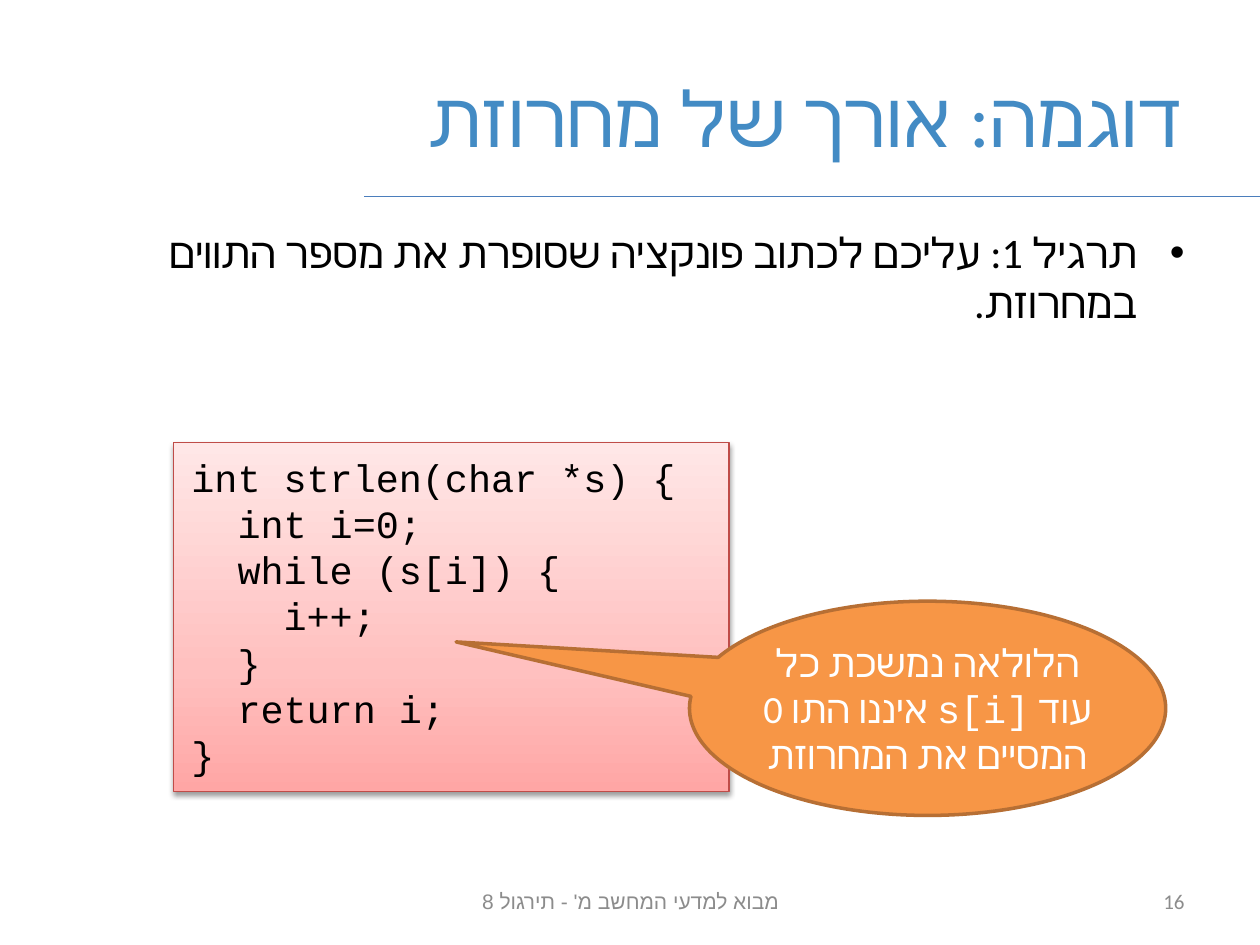
from copy import deepcopy
from dataclasses import dataclass

from pptx import Presentation
from pptx.dml.color import RGBColor
from pptx.enum.shapes import MSO_CONNECTOR, MSO_SHAPE
from pptx.enum.text import MSO_ANCHOR, MSO_AUTO_SIZE, PP_ALIGN
from pptx.oxml.ns import qn
from pptx.oxml.xmlchemy import OxmlElement
from pptx.util import Cm, Pt


@dataclass(frozen=True)
class Theme:
    title: str = "438BC4"
    rule: str = "4B7EBC"
    ink: str = "000000"
    muted: str = "8C8C8C"
    light: str = "FFFFFF"
    code_fill: tuple = ((0, "FFA6A5"), (0.35, "FFC0BF"), (1, "FFE7E7"))
    code_line: str = "BF4C48"
    callout_fill: str = "F79646"
    callout_line: str = "B76F34"
    title_size: int = 44
    body_size: int = 24
    code_size: int = 22
    footer_size: int = 12
    # Each pair names the Latin and the Hebrew typeface
    title_fonts: tuple = ("Arial", "Calibri")
    body_fonts: tuple = ("Times New Roman", "Calibri")
    code_fonts: tuple = ("Courier New", "Courier New")
    footer_fonts: tuple = ("Calibri", "Arial")
    number_fonts: tuple = ("Calibri", "Calibri")


THEME = Theme()
CODE = """int strlen(char *s) {
  int i=0;
  while (s[i]) {
    i++;
  }
  return i;
}"""


def rgb(color):
    return RGBColor.from_string(color)


def style_run(run, fonts, size, color):
    """Format a run with its Latin and Hebrew typefaces."""
    latin, hebrew = fonts
    run.font.name = latin
    run.font.size = Pt(size)
    run.font.color.rgb = rgb(color)
    hebrew_font = OxmlElement("a:cs")
    hebrew_font.set("typeface", hebrew)
    run.font._element.append(hebrew_font)


def style_paragraph(paragraph, alignment, rtl=True):
    paragraph.alignment = alignment
    if rtl:
        paragraph._p.get_or_add_pPr().set("rtl", "1")


def place(shape, left, top, width, height):
    shape.left, shape.top = Cm(left), Cm(top)
    shape.width, shape.height = Cm(width), Cm(height)


def set_hebrew(shape, text, fonts, size, color, alignment=PP_ALIGN.RIGHT):
    shape.text_frame.text = text
    paragraph = shape.text_frame.paragraphs[0]
    style_paragraph(paragraph, alignment)
    style_run(paragraph.runs[0], fonts, size, color)


def set_outline(shape, color, width):
    shape.line.color.rgb = rgb(color)
    shape.line.width = Pt(width)


def set_insets(frame, side, top):
    frame.margin_left = frame.margin_right = Cm(side)
    frame.margin_top = frame.margin_bottom = Cm(top)


def set_gradient(shape, stops, angle):
    shape.fill.gradient()
    stop_list = shape._element.spPr.find(".//" + qn("a:gsLst"))
    stop_list.append(deepcopy(stop_list[0]))
    for stop, (position, color) in zip(shape.fill.gradient_stops, stops):
        stop.position = position
        stop.color.rgb = rgb(color)
    shape.fill.gradient_angle = angle


def add_soft_shadow(shape):
    shape.shadow.inherit = False
    shadow = OxmlElement("a:outerShdw")
    settings = {"blurRad": Pt(3.1), "dist": Pt(1.6), "dir": 90 * 60000,
                "rotWithShape": 0}
    for key, value in settings.items():
        shadow.set(key, str(int(value)))
    color, alpha = OxmlElement("a:srgbClr"), OxmlElement("a:alpha")
    color.set("val", THEME.ink)
    alpha.set("val", "38000")
    color.append(alpha)
    shadow.append(color)
    shape._element.spPr.find(qn("a:effectLst")).append(shadow)


def add_title_rule(slide):
    rule = slide.shapes.add_connector(
        MSO_CONNECTOR.STRAIGHT, Cm(25.4), Cm(3.96), Cm(7.34), Cm(3.96))
    set_outline(rule, THEME.rule, 0.75)
    rule._element.spPr.append(OxmlElement("a:effectLst"))


def add_footer(slide, text, left, width, fonts, alignment):
    footer = slide.shapes.add_textbox(Cm(left), Cm(17.65), Cm(width), Cm(1.02))
    footer.text_frame.word_wrap = True
    footer.text_frame.vertical_anchor = MSO_ANCHOR.MIDDLE
    set_hebrew(footer, text, fonts, THEME.footer_size, THEME.muted, alignment)


def add_code(slide):
    code = slide.shapes.add_shape(
        MSO_SHAPE.RECTANGLE, Cm(3.5), Cm(8.92), Cm(11.2), Cm(7.04))
    set_gradient(code, THEME.code_fill, 90)
    set_outline(code, THEME.code_line, 0.75)
    add_soft_shadow(code)
    frame = code.text_frame
    frame.text = CODE
    frame.word_wrap = True
    frame.auto_size = MSO_AUTO_SIZE.SHAPE_TO_FIT_TEXT
    frame.vertical_anchor = MSO_ANCHOR.TOP
    set_insets(frame, 0.36, 0.23)
    for paragraph in frame.paragraphs:
        style_paragraph(paragraph, PP_ALIGN.LEFT, rtl=False)
        style_run(paragraph.runs[0], THEME.code_fonts, THEME.code_size, THEME.ink)


def add_callout(slide, parts):
    callout = slide.shapes.add_shape(
        MSO_SHAPE.OVAL_CALLOUT, Cm(13.9), Cm(12.12), Cm(9.6), Cm(4.32))
    callout.adjustments[0], callout.adjustments[1] = -0.99, -0.31
    callout.shadow.inherit = False
    callout.fill.solid()
    callout.fill.fore_color.rgb = rgb(THEME.callout_fill)
    set_outline(callout, THEME.callout_line, 2)
    frame = callout.text_frame
    frame.word_wrap = True
    frame.auto_size = MSO_AUTO_SIZE.SHAPE_TO_FIT_TEXT
    frame.vertical_anchor = MSO_ANCHOR.TOP
    set_insets(frame, 0, 0.13)
    explanation = frame.paragraphs[0]
    style_paragraph(explanation, PP_ALIGN.CENTER)
    for text, fonts in parts:
        run = explanation.add_run()
        run.text = text
        style_run(run, fonts, THEME.code_size, THEME.light)


def main():
    prs = Presentation()
    prs.slide_width, prs.slide_height = Cm(25.4), Cm(19.05)
    slide = prs.slides.add_slide(prs.slide_layouts[1])
    title, exercise = slide.placeholders

    # Title and the rule under it
    add_title_rule(slide)
    place(title, 1.27, 0.76, 22.86, 3.18)
    title.text_frame.vertical_anchor = MSO_ANCHOR.MIDDLE
    set_hebrew(title, "דוגמה: אורך של מחרוזת",
               THEME.title_fonts, THEME.title_size, THEME.title)

    # Exercise, with the bullet of the template
    place(exercise, 1.27, 4.44, 22.86, 4.88)
    set_hebrew(exercise,
               "תרגיל 1: עליכם לכתוב פונקציה שסופרת את מספר התווים במחרוזת.",
               THEME.body_fonts, THEME.body_size, THEME.ink)

    # Footer and slide number
    add_footer(slide, "מבוא למדעי המחשב מ' - תירגול 8", 8.69, 8.05,
               THEME.footer_fonts, PP_ALIGN.CENTER)
    add_footer(slide, "16", 18.21, 5.92, THEME.number_fonts, PP_ALIGN.RIGHT)

    # Solution and its explanation
    add_code(slide)
    add_callout(slide, [
        ("הלולאה נמשכת כל עוד ", THEME.body_fonts),
        ("s[i]", THEME.code_fonts),
        (" איננו התו 0 המסיים את המחרוזת", THEME.body_fonts),
    ])

    prs.save("out.pptx")


if __name__ == "__main__":
    main()
